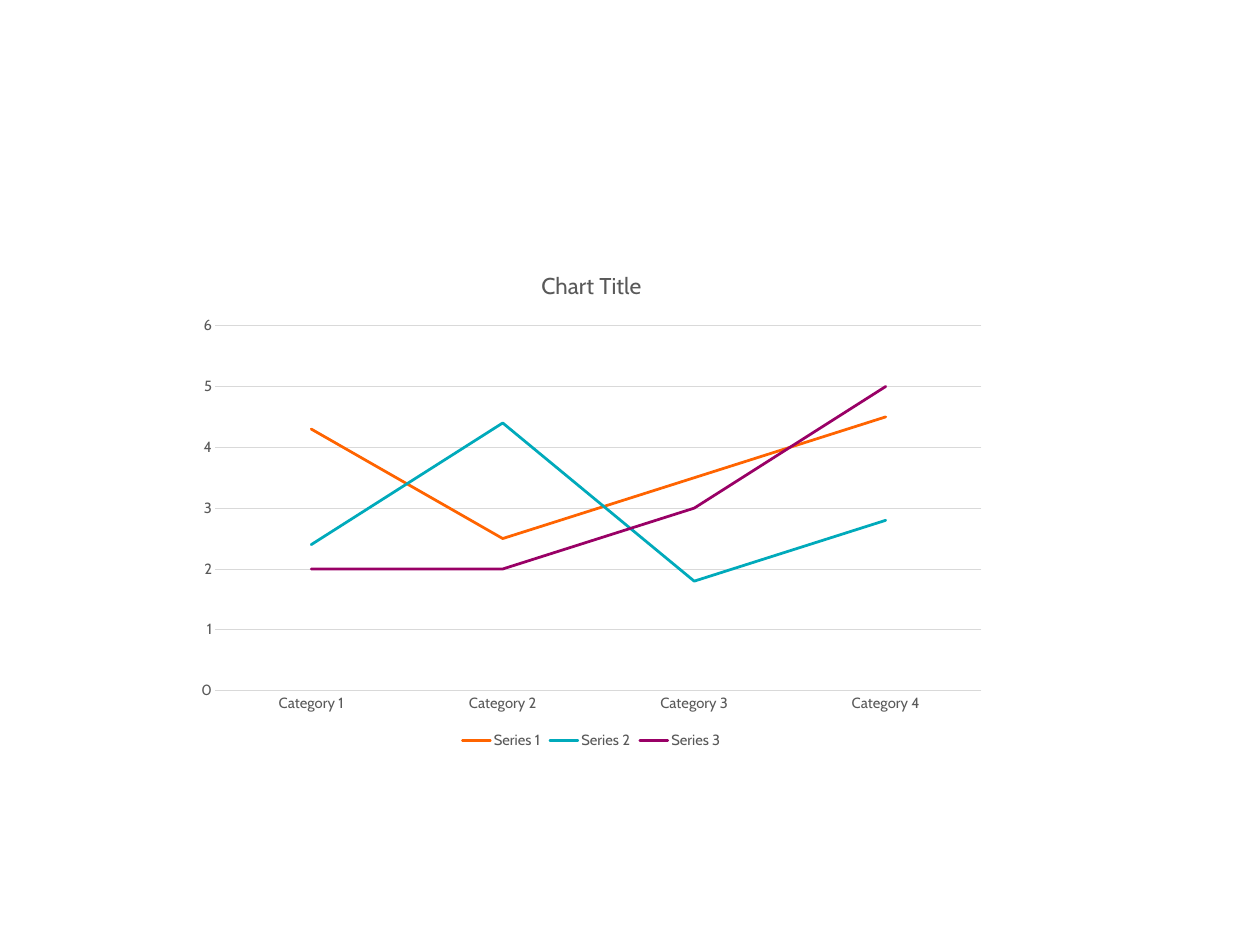
from pptx import Presentation
from pptx.chart.data import CategoryChartData
from pptx.dml.color import RGBColor
from pptx.enum.chart import XL_CHART_TYPE, XL_LEGEND_POSITION, XL_MARKER_STYLE, XL_TICK_MARK
from pptx.oxml.ns import qn
from pptx.util import Inches, Pt

FONT = "Cabin"
TEXT, GRID = "595959", "D9D9D9"
CATEGORIES = [f"Category {i}" for i in range(1, 5)]
SERIES = [
    ("Series 1", (4.3, 2.5, 3.5, 4.5), "FF6400"),
    ("Series 2", (2.4, 4.4, 1.8, 2.8), "00AABB"),
    ("Series 3", (2, 2, 3, 5), "990066"),
]


def rgb(color):
    return RGBColor.from_string(color)


def style_font(font, size=12, color=TEXT):
    font.name, font.size, font.bold = FONT, Pt(size), False
    font.color.rgb = rgb(color)


def style_line(line, color, width=0.75):
    line.color.rgb = rgb(color)
    line.width = Pt(width)


def set_text(tf, text, **fmt):
    r = tf.paragraphs[0].add_run()
    r.text = text
    style_font(r.font, **fmt)


def add_line_chart(s, x, y, w, h):
    data = CategoryChartData()
    data.categories = CATEGORIES
    for name, values, _ in SERIES:
        data.add_series(name, values)
    chart = s.shapes.add_chart(XL_CHART_TYPE.LINE, Inches(x), Inches(y),
                               Inches(w), Inches(h), data).chart
    style_font(chart.font, size=10, color="000000")

    # Title and legend
    chart.has_title = True
    set_text(chart.chart_title.text_frame, "Chart Title", size=18.6)
    chart.chart_title.include_in_layout = False
    chart.has_legend = True
    chart.legend.position = XL_LEGEND_POSITION.BOTTOM
    chart.legend.include_in_layout = False
    style_font(chart.legend.font)

    # Axes
    cat, val = chart.category_axis, chart.value_axis
    for axis in (cat, val):
        axis.major_tick_mark = axis.minor_tick_mark = XL_TICK_MARK.NONE
        style_font(axis.tick_labels.font)
    style_line(cat.format.line, GRID)
    val.format.line.fill.background()
    val.minimum_scale, val.maximum_scale, val.major_unit = 0, 6, 1
    style_line(val.major_gridlines.format.line, GRID)

    # Series lines with round caps
    chart.plots[0].vary_by_categories = False
    for ser, (_, _, color) in zip(chart.plots[0].series, SERIES):
        ser.smooth = False
        ser.marker.style = XL_MARKER_STYLE.NONE
        style_line(ser.format.line, color, 2.25)
        for ln in ser.format.line._get_or_add_ln().iter(qn("a:ln")):
            ln.set("cap", "rnd")


def main():
    prs = Presentation()
    prs.slide_width, prs.slide_height = Inches(14.22), Inches(10.67)
    s = prs.slides.add_slide(prs.slide_layouts[6])
    add_line_chart(s, 2.09, 2.83, 9.17, 5.67)
    prs.save("out.pptx")


if __name__ == "__main__":
    main()
